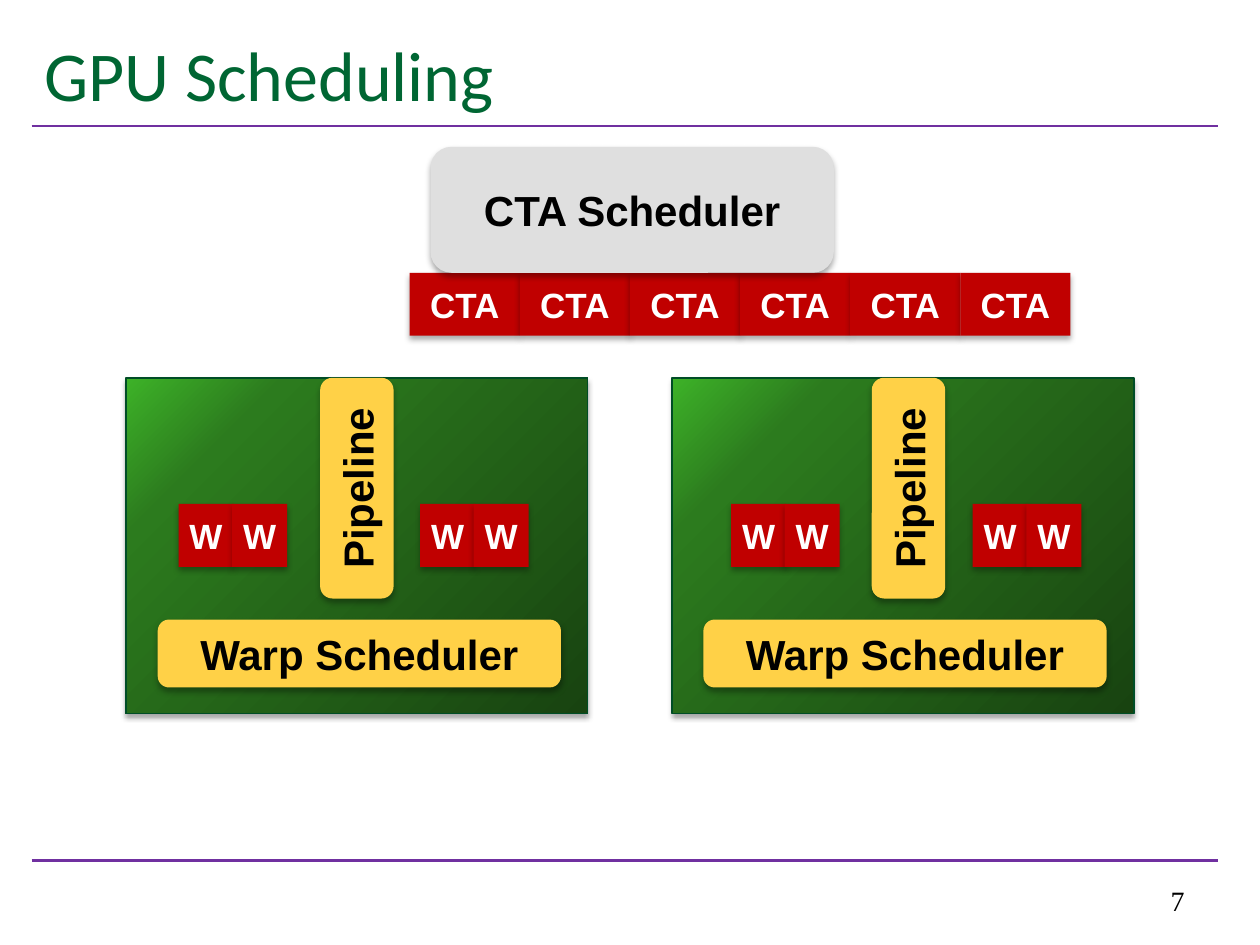
"""Build the GPU scheduling slide: a CTA queue feeding two cores of warps."""
from dataclasses import dataclass

from lxml.etree import SubElement
from pptx import Presentation
from pptx.dml.color import RGBColor as RGB
from pptx.enum.shapes import MSO_CONNECTOR as Link, MSO_SHAPE as Preset
from pptx.enum.text import MSO_ANCHOR as Anchor, PP_ALIGN as Align
from pptx.oxml import parse_xml
from pptx.oxml.ns import qn
from pptx.util import Cm, Pt

NS = "http://schemas.openxmlformats.org/drawingml/2006/main"


@dataclass(frozen=True)
class Theme:
    title: str = "006633"
    rule: str = "7030A0"
    task: str = "C00000"
    unit: str = "FFD147"
    dispatcher: str = "DFDFDF"
    core_edge: str = "004D26"
    core_stops: tuple = ((0, "184310"), (80, "2C7B1E"), (100, "3DB228"))
    dark: str = "000000"
    light: str = "FFFFFF"
    heading_font: str = "Calibri"
    label_font: str = "Arial"
    number_font: str = "Times New Roman"
    title_size: int = 40
    unit_size: int = 24
    task_size: int = 20
    number_size: int = 16
    core_shadow: tuple = (35, 3.1, 1.8)
    box_shadow: tuple = (32, 3.5, 2.2)


THEME = Theme()
TITLE, PAGE = "GPU Scheduling", "7"
RULE_TOPS = (2.54, 17.35)
RULE_LEFT, RULE_RIGHT = 0.64, 24.56
CTAS = ["CTA"] * 6
CTA_LEFT, CTA_TOP, CTA_WIDTH, TASK_HEIGHT = 8.26, 5.5, 2.22, 1.27
DISPATCHER = ("CTA Scheduler", (8.68, 2.96, 8.13, 2.54))
CORES = (
    {"left": 2.54, "scheduler": 3.18, "pipeline": 4.97, "warps": 3.6},
    {"left": 13.55, "scheduler": 14.18, "pipeline": 16.09, "warps": 14.74},
)
WARPS = (("W", 0), ("W", 1.08), ("W", 4.87), ("W", 5.95))
WARP_TOP, WARP_WIDTH = 10.16, 1.11


def style(frame, text, font, size, color, align, bold=False):
    frame.text = text
    paragraph = frame.paragraphs[0]
    paragraph.alignment = align
    paragraph.font.name, paragraph.font.size = font, Pt(size)
    paragraph.font.bold = bold
    paragraph.font.color.rgb = RGB.from_string(color)


def cast_shadow(shape, opacity, blur, distance):
    shape.shadow.inherit = False
    effects = shape.element.spPr.find(qn("a:effectLst"))
    shadow = SubElement(effects, qn("a:outerShdw"), blurRad=str(Pt(blur)),
                        dist=str(Pt(distance)), dir="5400000", rotWithShape="0")
    color = SubElement(shadow, qn("a:srgbClr"), val=THEME.dark)
    SubElement(color, qn("a:alpha"), val=str(opacity * 1000))


def add_rule(slide, top):
    rule = slide.shapes.add_connector(
        Link.STRAIGHT, Cm(RULE_LEFT), Cm(top), Cm(RULE_RIGHT), Cm(top))
    rule.line.color.rgb = RGB.from_string(THEME.rule)
    rule.line.width = Pt(1.5)
    SubElement(rule.element.spPr, qn("a:effectLst"))


def add_box(slide, preset, place, label, fill, color, size):
    box = slide.shapes.add_shape(preset, *map(Cm, place))
    box.fill.solid()
    box.fill.fore_color.rgb = RGB.from_string(fill)
    box.line.fill.background()
    cast_shadow(box, *THEME.box_shadow)
    box.text_frame.word_wrap = False
    box.text_frame.vertical_anchor = Anchor.MIDDLE
    style(box.text_frame, label, THEME.label_font, size, color, Align.CENTER, True)
    return box


def add_task(slide, label, left, top, width):
    add_box(slide, Preset.RECTANGLE, (left, top, width, TASK_HEIGHT), label,
            THEME.task, THEME.light, THEME.task_size)


def add_unit(slide, label, place, fill=THEME.unit):
    return add_box(slide, Preset.ROUNDED_RECTANGLE, place, label, fill,
                   THEME.dark, THEME.unit_size)


def add_core(slide, left):
    core = slide.shapes.add_shape(
        Preset.RECTANGLE, *map(Cm, (left, 7.62, 9.31, 6.77)))
    core.line.color.rgb = RGB.from_string(THEME.core_edge)
    core.line.width = Pt(0.75)
    stops = "".join(f'<a:gs pos="{at * 1000}"><a:srgbClr val="{color}"/></a:gs>'
                    for at, color in THEME.core_stops)
    core.element.spPr.find(qn("a:prstGeom")).addnext(parse_xml(
        f'<a:gradFill xmlns:a="{NS}" rotWithShape="1"><a:gsLst>{stops}</a:gsLst>'
        '<a:path path="circle"><a:fillToRect l="100000" t="100000"/></a:path>'
        '</a:gradFill>'))
    cast_shadow(core, *THEME.core_shadow)


def main():
    deck = Presentation()
    deck.slide_width, deck.slide_height = Cm(25.4), Cm(19.05)
    slide = deck.slides.add_slide(deck.slide_layouts[5])

    title = slide.shapes.title
    title.left, title.top, title.width, title.height = map(
        Cm, (0.64, 0.42, 23.92, 2.12))
    title.text_frame.vertical_anchor = Anchor.MIDDLE
    style(title.text_frame, TITLE, THEME.heading_font, THEME.title_size,
          THEME.title, Align.LEFT)
    for top in RULE_TOPS:
        add_rule(slide, top)

    number = slide.shapes.add_textbox(*map(Cm, (18.2, 17.35, 5.93, 1.27))).text_frame
    number.word_wrap = True
    number.vertical_anchor = Anchor.BOTTOM
    style(number, PAGE, THEME.number_font, THEME.number_size, THEME.dark, Align.RIGHT)

    for place, label in enumerate(CTAS):
        add_task(slide, label, CTA_LEFT + place * CTA_WIDTH, CTA_TOP, CTA_WIDTH)
    add_unit(slide, *DISPATCHER, THEME.dispatcher)

    for core in CORES:
        add_core(slide, core["left"])
        add_unit(slide, "Warp Scheduler", (core["scheduler"], 12.49, 8.13, 1.37))
        pipeline = add_unit(slide, "Pipeline", (core["pipeline"], 9.1, 4.45, 1.48))
        pipeline.rotation = 270
        for label, offset in WARPS:
            add_task(slide, label, core["warps"] + offset, WARP_TOP, WARP_WIDTH)

    deck.save("out.pptx")


if __name__ == "__main__":
    main()
